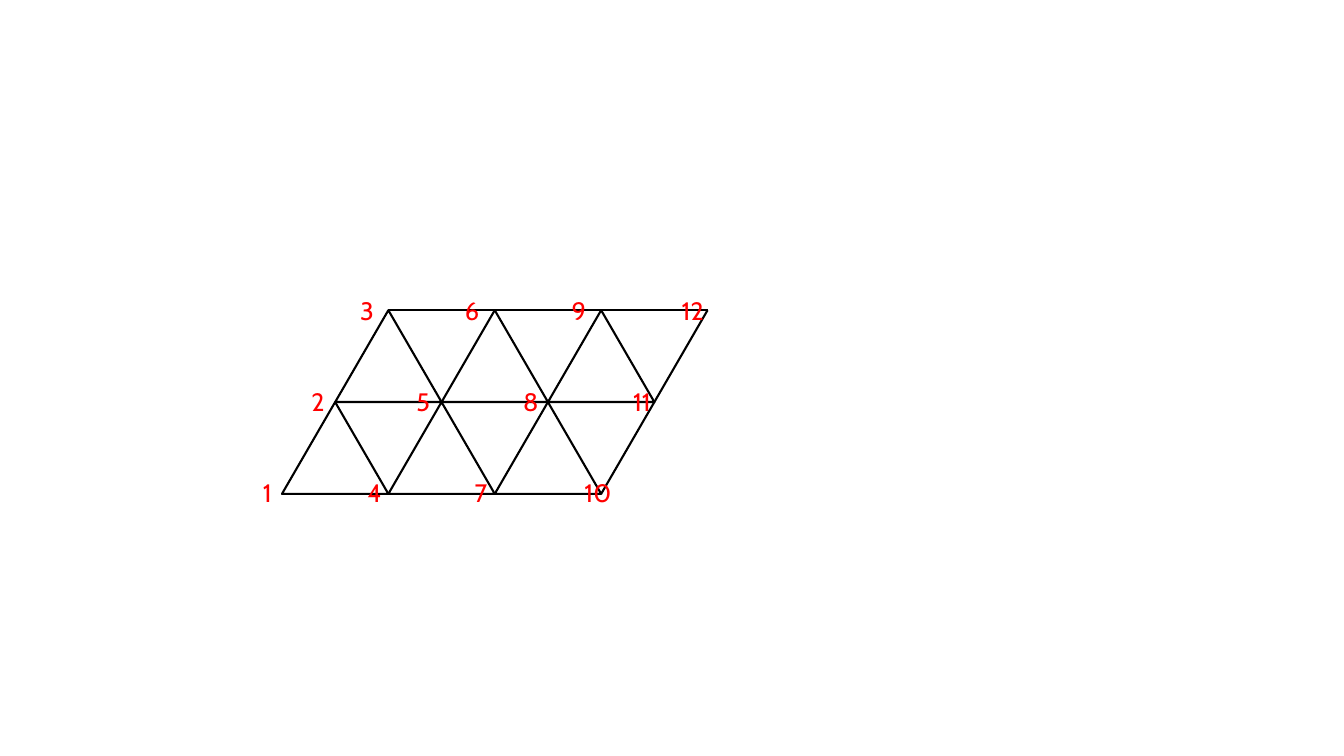
"""Build a slide with a triangular mesh and its twelve numbered nodes."""
from lxml.etree import SubElement
from pptx import Presentation
from pptx.dml.color import RGBColor
from pptx.enum.shapes import MSO_CONNECTOR, MSO_SHAPE
from pptx.enum.text import MSO_AUTO_SIZE
from pptx.oxml.ns import qn
from pptx.util import Pt

NODE_COLUMNS = [("1", "2", "3"), ("4", "5", "6"), ("7", "8", "9"), ("10", "11", "12")]
LABEL_LEFTS = [180.7, 255.6, 331.9, 410.4]
LABEL_BOTTOM_ROW, LABEL_SHIFT, LABEL_RISE = 337.7, 34.7, 65.2
LABEL_WIDTHS = {1: 24.5, 2: 33.8}
LABEL_HEIGHT = 29
MESH_LEFT, MESH_BASE = 201.4, 352.8
SIDE, RISE = 76, 65.6
ROWS, COLUMNS = 2, 3
BLACK, RED = "000000", "FF0000"


def color(value):
    return RGBColor.from_string(value)


def node(column, row):
    return MESH_LEFT + SIDE * (column + row / 2), MESH_BASE - RISE * row


def style_line(line):
    line.color.rgb = color(BLACK)
    line.width = Pt(1.5)


def add_triangle(slide, column, row):
    left, base = node(column, row)
    triangle = slide.shapes.add_shape(
        MSO_SHAPE.ISOSCELES_TRIANGLE, Pt(left), Pt(base - RISE), Pt(SIDE), Pt(RISE))
    triangle.shadow.inherit = False
    triangle.fill.background()
    style_line(triangle.line)


def add_edge(slide, start, end):
    points = [Pt(value) for value in (*start, *end)]
    edge = slide.shapes.add_connector(MSO_CONNECTOR.STRAIGHT, *points)
    style_line(edge.line)
    SubElement(edge._element.spPr, qn("a:effectLst"))


def add_label(slide, text, left, top):
    box = slide.shapes.add_textbox(
        Pt(left), Pt(top), Pt(LABEL_WIDTHS[len(text)]), Pt(LABEL_HEIGHT))
    frame = box.text_frame
    frame.word_wrap = False
    frame.auto_size = MSO_AUTO_SIZE.SHAPE_TO_FIT_TEXT
    para = frame.paragraphs[0]
    para.text = text
    para.font.name = "Cabin"
    para.font.size = Pt(18)
    para.font.color.rgb = color(RED)


def main():
    deck = Presentation()
    deck.slide_width, deck.slide_height = Pt(960), Pt(540)
    slide = deck.slides.add_slide(deck.slide_layouts[6])
    for row in range(ROWS):
        for column in range(COLUMNS):
            add_triangle(slide, column, row)
    top_right = node(COLUMNS, ROWS)
    add_edge(slide, node(0, ROWS), top_right)
    add_edge(slide, node(COLUMNS, 0), top_right)
    for left, labels in zip(LABEL_LEFTS, NODE_COLUMNS):
        for row, text in enumerate(labels):
            add_label(slide, text, left + LABEL_SHIFT * row, LABEL_BOTTOM_ROW - LABEL_RISE * row)
    deck.save("out.pptx")


if __name__ == "__main__":
    main()
